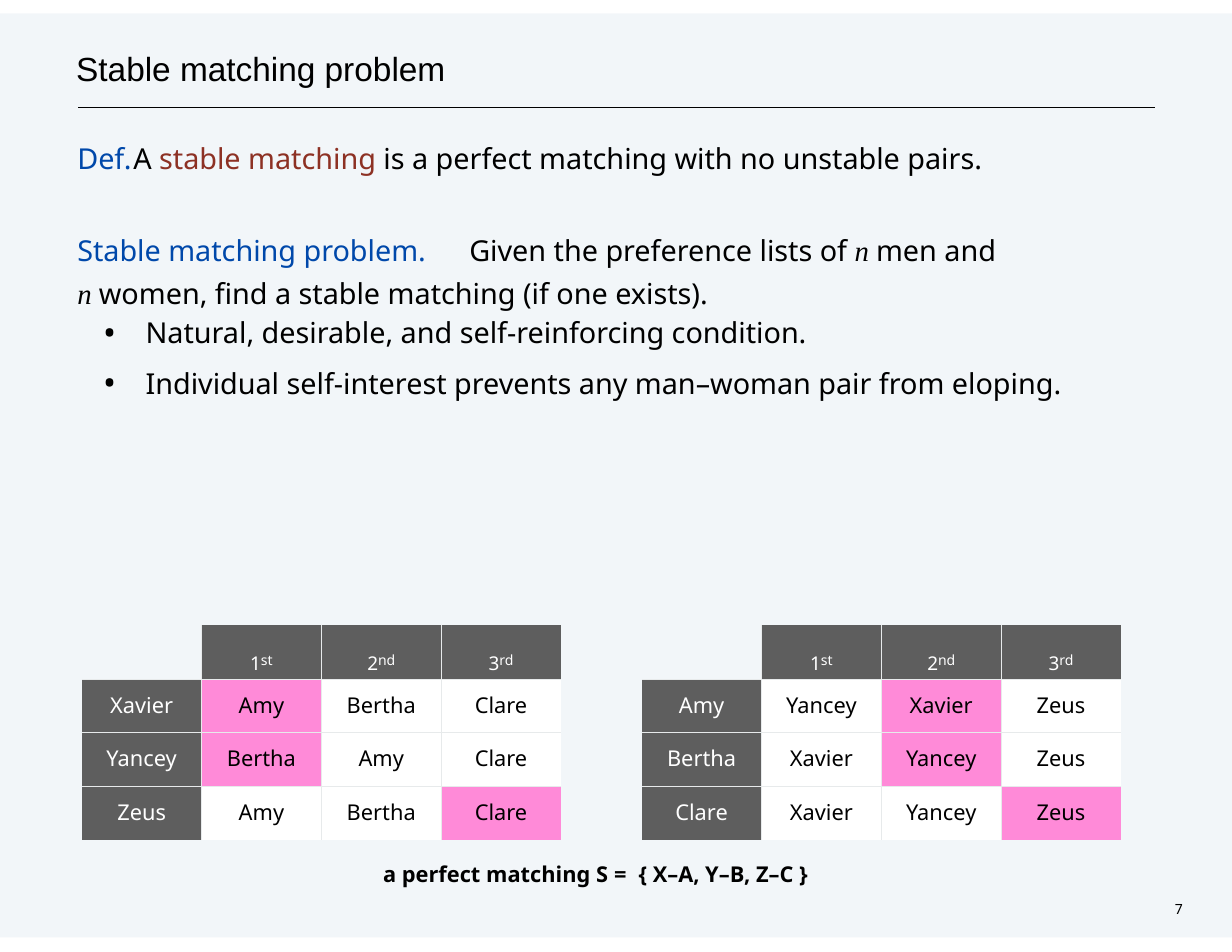
"""Build the stable matching problem slide with its two preference tables."""
import pptx
import pptx.dml.color
import pptx.enum.shapes
import pptx.enum.text
import pptx.oxml
import pptx.oxml.ns
import pptx.util
from lxml import etree

Inches = pptx.util.Inches
Pt = pptx.util.Pt
qn = pptx.oxml.ns.qn
LEFT = pptx.enum.text.PP_ALIGN.LEFT
CENTER = pptx.enum.text.PP_ALIGN.CENTER
BLACK, WHITE, BLUE, RED = "000000", "FFFFFF", "0048AA", "8D3124"
GRAY, PINK, RULE = "5E5E5E", "FF8AD8", "E7EAEB"


def colour(value):
    return pptx.dml.color.RGBColor.from_string(value)


def add_run(paragraph, text, size, ink=BLACK, **formats):
    run = paragraph.add_run()
    run.text = text
    run.font.color.rgb = colour(ink)
    for name, value in {"size": Pt(size), "name": "Noto Sans", **formats}.items():
        setattr(run.font, name, value)
    return run


deck = pptx.Presentation()
deck.slide_width, deck.slide_height = Inches(11), Inches(8.5)
slide = deck.slides.add_slide(deck.slide_layouts[1])

panel = slide.shapes.add_shape(
    pptx.enum.shapes.MSO_SHAPE.RECTANGLE, 0, Inches(0.12), Inches(11), Inches(8.25))
panel.shadow.inherit = False
panel.line.fill.background()
panel.fill.solid()
panel.fill.fore_color.rgb = colour("005493")
tint = next(panel.element.spPr.iter(qn("a:srgbClr")))
etree.SubElement(tint, qn("a:alpha"), val="5000")
slide.shapes._spTree.insert(2, panel.element)

title_rule = slide.shapes.add_connector(
    pptx.enum.shapes.MSO_CONNECTOR.STRAIGHT,
    Inches(0.7), Inches(0.96), Inches(10.31), Inches(0.96))
title_rule.line.color.rgb = colour(BLACK)
title_rule.line.width = Pt(0.77)
etree.SubElement(title_rule.element.spPr, qn("a:effectLst"))

title = slide.shapes.title
body = slide.placeholders[1]
page_number = slide.shapes.add_textbox(0, 0, 0, 0)
caption = slide.shapes.add_textbox(0, 0, 0, 0)
boxes = [
    (title, 0.68, 0.41, 6.18, 0.39, 0.02),
    (body, 0.69, 1.25, 9.11, 2.41, 0.01),
    (page_number, 10.49, 8.03, 0.22, 0.18, 0.01),
    (caption, 3.42, 7.68, 3.93, 0.26, 0.01),
]
for box, left, top, width, height, inset in boxes:
    place = {"left": left, "top": top, "width": width, "height": height}
    for name, value in place.items():
        setattr(box, name, Inches(value))
    frame_format = {
        "margin_left": 0, "margin_right": 0, "margin_bottom": 0,
        "margin_top": Inches(inset), "word_wrap": True,
        "auto_size": pptx.enum.text.MSO_AUTO_SIZE.NONE,
        "vertical_anchor": pptx.enum.text.MSO_ANCHOR.TOP,
    }
    for name, value in frame_format.items():
        setattr(box.text_frame, name, value)
    box.text_frame.paragraphs[0].alignment = LEFT

add_run(title.text_frame.paragraphs[0], "Stable matching problem", 21.5, name="Arial")
add_run(page_number.text_frame.paragraphs[0], "7", 9)
matching = caption.text_frame.paragraphs[0]
add_run(matching, "a perfect matching S ", 14, bold=True)
equals = add_run(matching, "= ", 14, bold=True)
equals.font._element.set("spc", "200")
add_run(matching, "{ X–A, Y–B, Z–C }", 14, bold=True)

variable = {"name": "Times New Roman", "italic": True}
statements = [
    (0, None, 0.72, [
        ("Def.\t", BLUE, {}), ("A ", BLACK, {}), ("stable matching ", RED, {}),
        ("is a perfect matching with no unstable pairs.", BLACK, {})]),
    (31.6, 27.5, 3.42, [
        ("Stable matching problem.\t", BLUE, {}),
        ("Given the preference lists of ", BLACK, {}), ("n ", BLACK, variable),
        ("men and", BLACK, {}), None, ("n ", BLACK, variable),
        ("women, find a stable matching (if one exists).", BLACK, {})]),
    (0, 25, None, [("Natural, desirable, and self-reinforcing condition.", BLACK, {})]),
    (0, 32.5, None, [
        ("Individual self-interest prevents any man–woman pair from eloping.", BLACK, {})]),
]
for index, (before, spacing, tab, pieces) in enumerate(statements):
    statement = body.text_frame.paragraphs[0] if index == 0 else body.text_frame.add_paragraph()
    statement.space_before = Pt(before)
    if spacing:
        statement.line_spacing = Pt(spacing)
    properties = statement._p.get_or_add_pPr()
    if tab:
        properties.set("marL", "0")
        properties.set("indent", "0")
        etree.SubElement(properties, qn("a:buNone"))
        tabs = etree.SubElement(properties, qn("a:tabLst"))
        etree.SubElement(tabs, qn("a:tab"), pos=str(Inches(tab)), algn="l")
    else:
        properties.set("marL", str(Inches(0.61)))
        properties.set("indent", str(Inches(-0.38)))
        etree.SubElement(properties, qn("a:buSzPct"), val="120000")
        etree.SubElement(properties, qn("a:buFont"), typeface="Noto Sans")
        etree.SubElement(properties, qn("a:buChar"), char="•")
    for piece in pieces:
        if piece is None:
            statement.add_line_break()
        else:
            text, ink, formats = piece
            add_run(statement, text, 18.5, ink, **formats)

ranks = ["", "1st", "2nd", "3rd"]
preferences = [
    (0.73, [["Xavier", "Amy", "Bertha", "Clare"],
            ["Yancey", "Bertha", "Amy", "Clare"],
            ["Zeus", "Amy", "Bertha", "Clare"]], [1, 1, 3]),
    (5.73, [["Amy", "Yancey", "Xavier", "Zeus"],
            ["Bertha", "Xavier", "Yancey", "Zeus"],
            ["Clare", "Xavier", "Yancey", "Zeus"]], [2, 2, 3]),
]
for left, people, matched in preferences:
    frame = slide.shapes.add_table(4, 4, Inches(left), Inches(5.58), Inches(4.28), Inches(1.93))
    next(frame.element.iter(qn("a:tableStyleId"))).text = "{2D5ABB26-0587-4C30-8999-92F81FD0307C}"
    for column in frame.table.columns:
        column.width = Inches(1.07)
    for row in frame.table.rows:
        row.height = Inches(0.48)
    for r, names in enumerate([ranks] + people):
        for c, name in enumerate(names):
            cell = frame.table.cell(r, c)
            cell.margin_left = cell.margin_right = cell.margin_bottom = 0
            cell.margin_top = Inches(0.1 if r else 0.05)
            cell_properties = cell._tc.get_or_add_tcPr()
            inner = {"a:lnL": c > 0, "a:lnR": c < 3, "a:lnT": r > 0, "a:lnB": r < 3}
            for side, drawn in inner.items():
                if drawn:
                    edge = etree.SubElement(cell_properties, qn(side), w=str(Pt(0.25)))
                    paint = etree.SubElement(edge, qn("a:solidFill"))
                    etree.SubElement(paint, qn("a:srgbClr"), val=RULE)
            if not name:
                cell.fill.background()
                continue
            header = r == 0 or c == 0
            cell.fill.solid()
            cell.fill.fore_color.rgb = colour(
                GRAY if header else PINK if c == matched[r - 1] else WHITE)
            entry = cell.text_frame.paragraphs[0]
            entry.alignment = CENTER
            if r:
                add_run(entry, name, 14, WHITE if header else BLACK)
            else:
                numeral = add_run(entry, name[0], 21, WHITE)
                numeral.font._element.set("baseline", "-14000")
                add_run(entry, name[1:], 9, WHITE)

deck.save("out.pptx")
